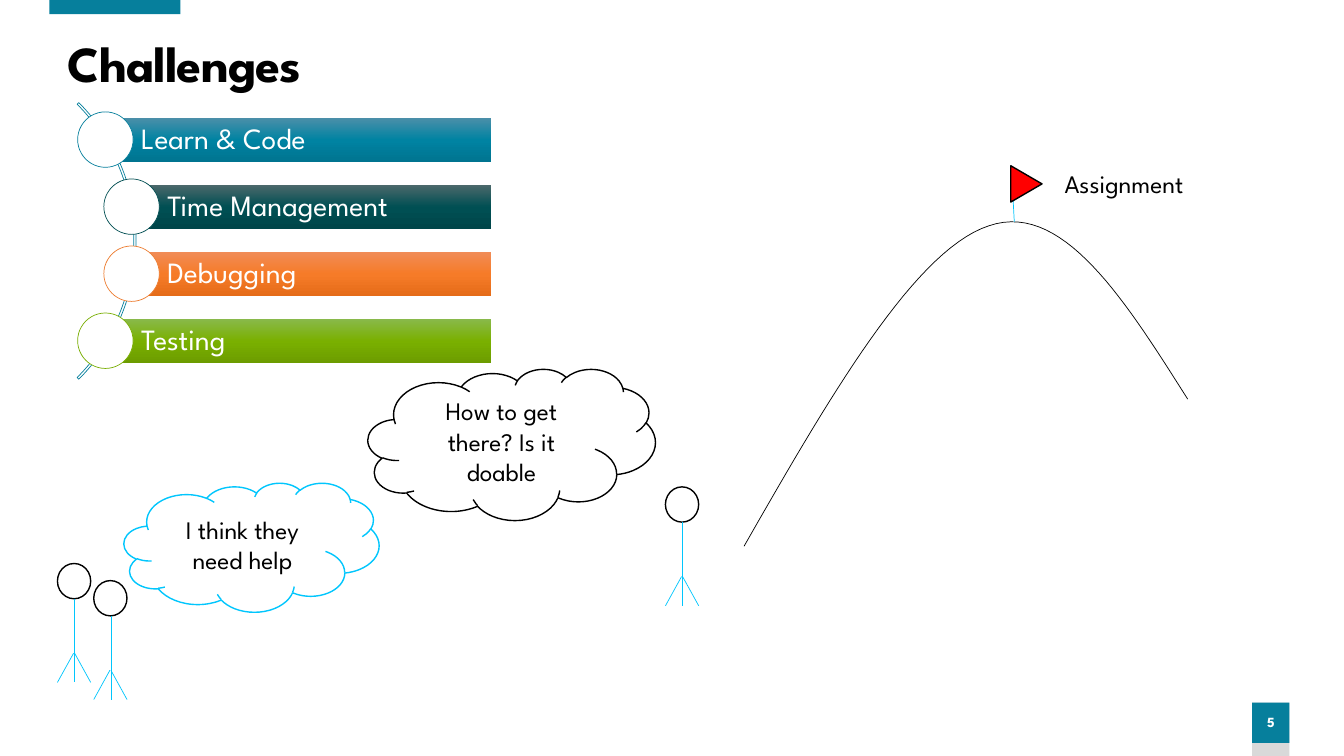
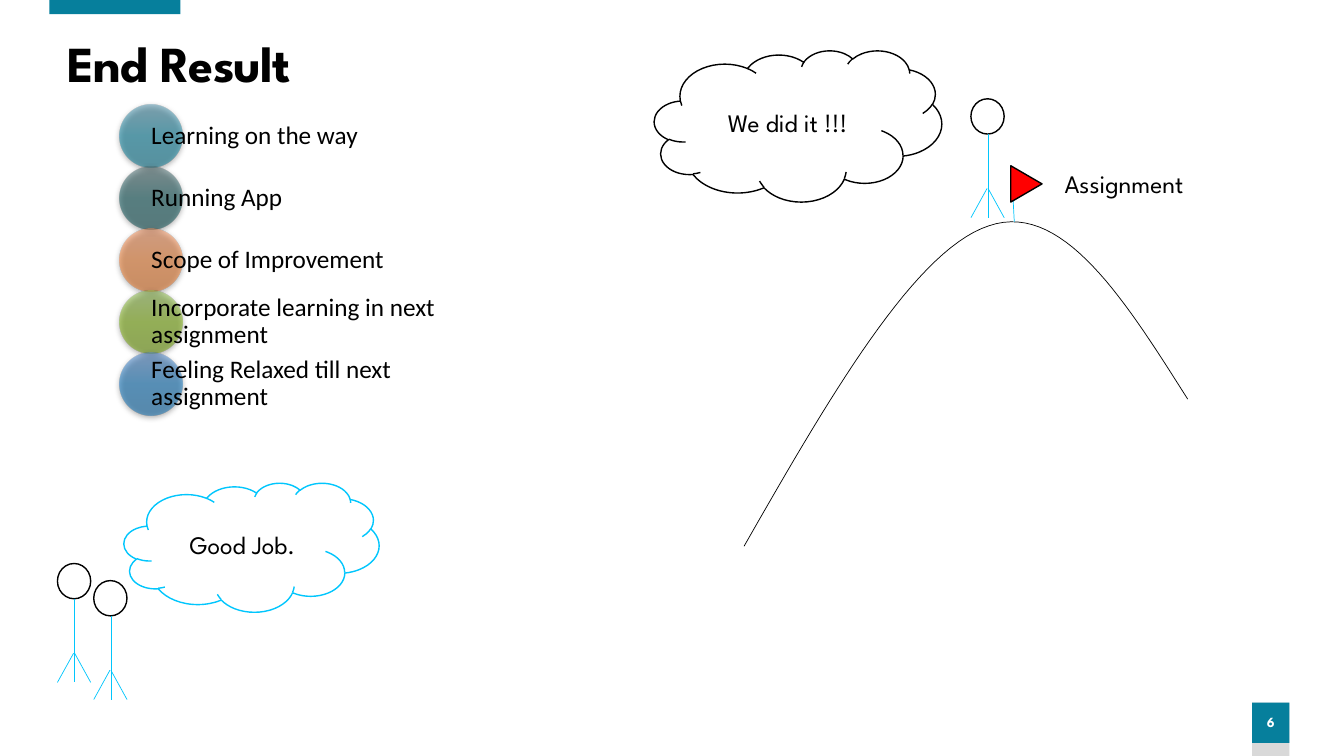
from pptx import Presentation
from pptx.dml.color import RGBColor
from pptx.enum.shapes import MSO_CONNECTOR, MSO_SHAPE
from pptx.enum.text import MSO_ANCHOR, PP_ALIGN
from pptx.oxml import parse_xml
from pptx.oxml.ns import nsdecls, qn
from pptx.util import Inches, Pt

RECT, OVAL, CLOUD = MSO_SHAPE.RECTANGLE, MSO_SHAPE.OVAL, MSO_SHAPE.CLOUD
TRIANGLE, ARC = MSO_SHAPE.ISOSCELES_TRIANGLE, MSO_SHAPE.BLOCK_ARC
STRAIGHT = MSO_CONNECTOR.STRAIGHT
MIDDLE, LEFT, CENTER = MSO_ANCHOR.MIDDLE, PP_ALIGN.LEFT, PP_ALIGN.CENTER


class Theme:
    black, white, grey = "000000", "FFFFFF", "D9D9D9"
    teal, sky, red = "067F9C", "01C6FD", "FF0000"
    teal_blend = ("4B8FA9", "0083A2", "007490")
    pine_blend = ("4B686B", "004F53", "00464A")
    orange_blend = ("F18C57", "F67B28", "E56C19")
    green_blend = ("89B94B", "7AB000", "6C9C00")
    blue_blend = ("4B81C8", "0070C0", "0064AB")
    heading_font, list_font = "League Spartan", "Calibri"
    title_size, bar_size, body_size, page_size = Pt(36), Pt(21), Pt(18), Pt(10)
    thin, outline = Pt(0.5), Pt(1)


# Text formats: colour, then values for the frame, the paragraph and the font
TITLE = {
    "color": Theme.black,
    "frame": {"vertical_anchor": MIDDLE},
    "paragraph": {"line_spacing": 0.9},
    "font": {"name": Theme.heading_font, "size": Theme.title_size, "bold": True},
}
PAGE = {
    "color": Theme.white,
    "frame": {"vertical_anchor": MIDDLE, "margin_left": 0, "margin_right": 0},
    "paragraph": {"alignment": CENTER, "line_spacing": 0.9, "space_before": Pt(10)},
    "font": {"name": Theme.heading_font, "size": Theme.page_size, "bold": True},
}
LABEL = {
    "color": Theme.black,
    "frame": {},
    "paragraph": {},
    "font": {"name": Theme.heading_font, "size": Theme.body_size},
}
THOUGHT = LABEL | {
    "frame": {"vertical_anchor": MIDDLE},
    "paragraph": {"alignment": CENTER},
}
BAR = {
    "color": Theme.white,
    "frame": {"vertical_anchor": MIDDLE, "margin_left": Inches(0.35),
              "margin_right": Inches(0.06), "margin_top": Inches(0.06),
              "margin_bottom": Inches(0.06)},
    "paragraph": {"alignment": LEFT, "line_spacing": 0.9},
    "font": {"name": Theme.heading_font, "size": Theme.bar_size},
}
RESULT = {
    "color": Theme.black,
    "frame": {"vertical_anchor": MIDDLE, "margin_left": 0, "margin_right": 0,
              "margin_top": Inches(0.03), "margin_bottom": Inches(0.03)},
    "paragraph": {"line_spacing": 0.9},
    "font": {"name": Theme.list_font, "size": Theme.body_size},
}


def add_part(slide, kind, box, fill=None, line=None, weight=Theme.outline,
             text="", style=None, opacity=100):
    """Add a shape, or a text box if kind is None; a fill of three colours is a blend."""
    place = [Inches(length) for length in box]
    if kind is None:
        part = slide.shapes.add_textbox(*place)
    else:
        part = slide.shapes.add_shape(kind, *place)
        part.shadow.inherit = False
        if line:
            part.line.color.rgb = RGBColor.from_string(line)
            part.line.width = weight
        else:
            part.line.fill.background()
        if isinstance(fill, tuple):
            stops = "".join(
                f'<a:gs pos="{i * 50000}"><a:srgbClr val="{color}">'
                f'<a:alpha val="{opacity * 1000}"/></a:srgbClr></a:gs>'
                for i, color in enumerate(fill))
            part.element.spPr.find(qn("a:prstGeom")).addnext(parse_xml(
                f'<a:gradFill {nsdecls("a")} rotWithShape="1"><a:gsLst>{stops}</a:gsLst>'
                '<a:lin ang="5400000" scaled="0"/></a:gradFill>'))
        elif fill:
            part.fill.solid()
            part.fill.fore_color.rgb = RGBColor.from_string(fill)
        else:
            part.fill.background()
    if text:
        frame = part.text_frame
        frame.word_wrap = True
        paragraph = frame.paragraphs[0]
        run = paragraph.add_run()
        run.text = text
        run.font.color.rgb = RGBColor.from_string(style["color"])
        for target, key in ((frame, "frame"), (paragraph, "paragraph"), (run.font, "font")):
            for name, value in style[key].items():
                setattr(target, name, value)
    return part


def add_line(slide, *ends):
    line = slide.shapes.add_connector(STRAIGHT, *[Inches(end) for end in ends])
    line.line.color.rgb = RGBColor.from_string(Theme.sky)
    line.line.width = Theme.thin
    line.element.spPr.append(parse_xml(f'<a:effectLst {nsdecls("a")}/>'))


# The hill is two cubic curves, sampled into short steps
HILL_CURVES = [
    ((7.38, 5.42), (8.22, 3.95), (9.07, 2.48), (9.81, 2.24)),
    ((9.81, 2.24), (10.54, 1.99), (11.16, 2.98), (11.78, 3.96)),
]
STEPS = 30
hill_points = [
    tuple(Inches((1 - t) ** 3 * a + 3 * (1 - t) ** 2 * t * b + 3 * (1 - t) * t ** 2 * c + t ** 3 * d)
          for a, b, c, d in zip(*curve))
    for curve in HILL_CURVES for t in (step / STEPS for step in range(STEPS + 1))
]

# Heading, page, climber's place, climber's thought and its place, watchers' thought
STORY = [
    ("Challenges", "5", (6.6, 4.83), "How to get there? Is it doable", (3.65, 3.66),
     "I think they need help"),
    ("End Result", "6", (9.63, 0.98), "We did it !!!", (6.49, 0.5), "Good Job."),
]
WATCHERS = [(0.57, 5.59), (0.93, 5.76)]

prs = Presentation()
prs.slide_width, prs.slide_height = Inches(13.33), Inches(7.5)
blank = prs.slide_layouts[6]

# Parts that both slides share
for heading, page, climber, climber_thought, thought_place, watcher_thought in STORY:
    slide = prs.slides.add_slide(blank)
    add_part(slide, RECT, (0.49, 0, 1.3, 0.14), Theme.teal)
    title = add_part(slide, None, (0.57, 0.27, 12.22, 0.78), text=heading, style=TITLE)
    title.text_frame.paragraphs[0].runs[0].font._element.set("spc", "-60")
    add_part(slide, RECT, (12.42, 6.97, 0.37, 0.53), Theme.grey)
    add_part(slide, RECT, (12.42, 6.97, 0.37, 0.4), Theme.teal, text=page, style=PAGE)

    # Hill with the flag on top
    builder = slide.shapes.build_freeform(*hill_points[0], scale=1.0)
    builder.add_line_segments(hill_points[1:], close=False)
    hill = builder.convert_to_shape()
    hill.shadow.inherit = False
    hill.fill.background()
    hill.line.color.rgb = RGBColor.from_string(Theme.black)
    hill.line.width = Theme.thin
    add_line(slide, 10.06, 2.2, 10.03, 1.64)
    flag = add_part(slide, TRIANGLE, (10, 1.67, 0.36, 0.31), Theme.red, Theme.black)
    flag.rotation = 90
    add_part(slide, None, (10.46, 1.62, 2.33, 0.4), text="Assignment", style=LABEL)

    # Stick figures: head, body and two legs
    for x, y in [climber, *WATCHERS]:
        add_part(slide, OVAL, (x, y, 0.33, 0.35), Theme.white, Theme.black)
        add_line(slide, x + 0.17, y + 0.35, x + 0.17, y + 1.18)
        add_line(slide, x + 0.16, y + 0.89, x, y + 1.18)
        add_line(slide, x + 0.17, y + 0.89, x + 0.33, y + 1.18)

    # Thoughts
    add_part(slide, CLOUD, (*thought_place, 2.85, 1.5), Theme.white, Theme.black,
             text=climber_thought, style=THOUGHT)
    add_part(slide, CLOUD, (1.23, 4.79, 2.53, 1.28), Theme.white, Theme.sky,
             text=watcher_thought, style=THOUGHT)

challenges_slide, result_slide = prs.slides

# Challenges: bars along an arc
CHALLENGES = [
    ("Learn & Code", 1.05, Theme.teal_blend, Theme.teal),
    ("Time Management", 1.31, Theme.pine_blend, "014E52"),
    ("Debugging", 1.31, Theme.orange_blend, "ED7D31"),
    ("Testing", 1.05, Theme.green_blend, "79AE02"),
]
BARS_RIGHT, BAR_STEP = 4.87, 0.665
arc = add_part(challenges_slide, ARC, (-2.53, 0.45, 3.88, 3.88), line=Theme.teal,
               weight=Theme.thin)
for index, value in enumerate((189, 27, 0.006)):
    arc.adjustments[index] = value
for row, (challenge, left, blend, ring) in enumerate(CHALLENGES):
    top = 1.17 + row * BAR_STEP
    add_part(challenges_slide, RECT, (left, top, BARS_RIGHT - left, 0.44), blend,
             text=challenge, style=BAR)
    add_part(challenges_slide, OVAL, (left - 0.28, top - 0.06, 0.55, 0.55), Theme.white, ring,
             Theme.thin)

# End result: translucent dots with a soft shadow, text from their centres
RESULTS = [
    ("Learning on the way", Theme.teal_blend),
    ("Running App", Theme.pine_blend),
    ("Scope of Improvement", Theme.orange_blend),
    ("Incorporate learning in next assignment", Theme.green_blend),
    ("Feeling Relaxed till next assignment", Theme.blue_blend),
]
DOT, DOT_STEP = 0.62, 0.615
for row, (result, blend) in enumerate(RESULTS):
    top = 1.04 + row * DOT_STEP
    dot = add_part(result_slide, OVAL, (1.19, top, DOT, DOT), blend, opacity=50)
    dot.element.spPr.find(qn("a:effectLst")).append(parse_xml(
        f'<a:outerShdw {nsdecls("a")} blurRad="{Pt(4.5)}" dist="{Pt(1.5)}" dir="5400000" '
        'algn="ctr" rotWithShape="0"><a:srgbClr val="000000"><a:alpha val="63000"/>'
        '</a:srgbClr></a:outerShdw>'))
    add_part(result_slide, None, (1.5, top, 3.29, DOT), text=result, style=RESULT)

prs.save("out.pptx")
